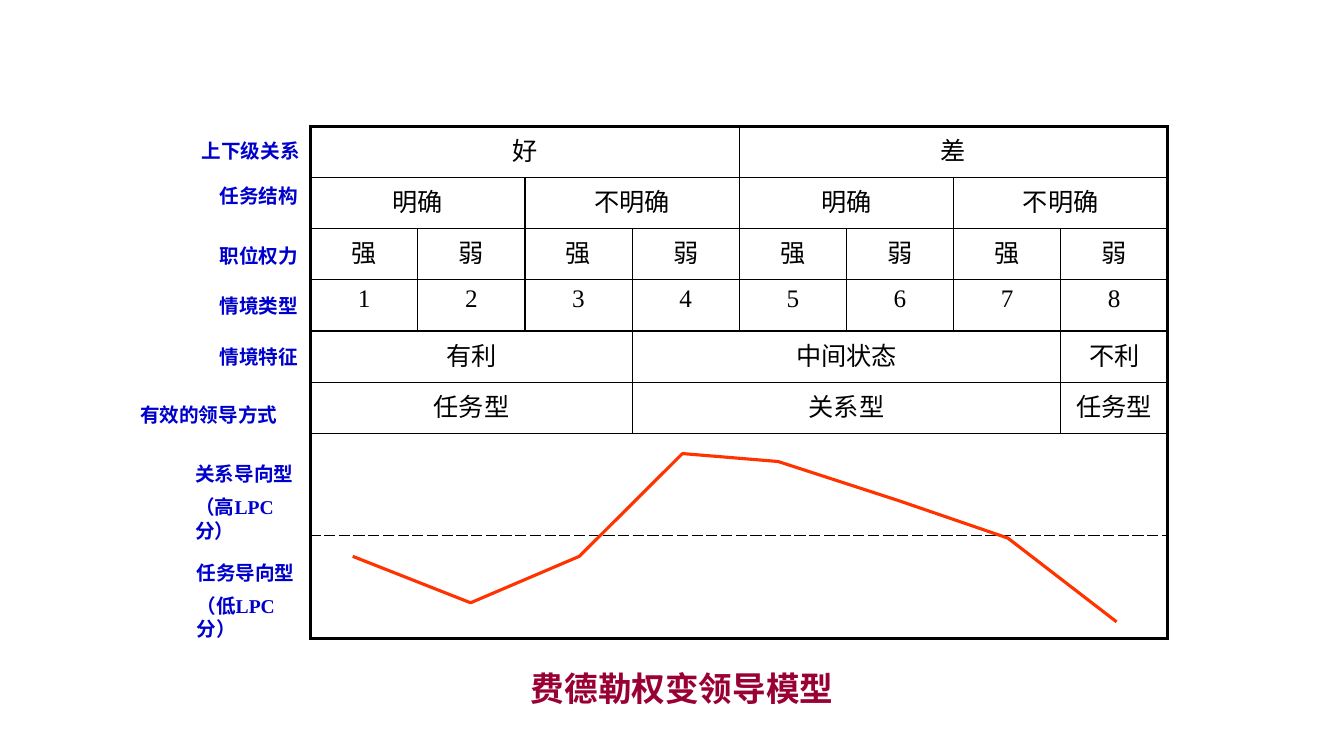
import pptx
import pptx.util
import pptx.dml.color
import pptx.enum.text
from lxml import etree
from pptx.oxml.ns import qn

Cm, Pt = pptx.util.Cm, pptx.util.Pt
RGBColor = pptx.dml.color.RGBColor

BLACK = RGBColor(0x00, 0x00, 0x00)
BLUE = RGBColor(0x00, 0x00, 0xCC)
CRIMSON = RGBColor(0x99, 0x00, 0x33)
ORANGE = RGBColor(0xFF, 0x33, 0x00)
FONT = "Times New Roman"

# Each row lists (text, columns spanned)
MODEL_ROWS = [
    [("好", 4), ("差", 4)],
    [("明确", 2), ("不明确", 2)] * 2,
    [("强", 1), ("弱", 1)] * 4,
    [(str(situation), 1) for situation in range(1, 9)],
    [("有利", 3), ("中间状态", 4), ("不利", 1)],
    [("任务型", 3), ("关系型", 4), ("任务型", 1)],
    [("", 8)],
    [("", 8)],
]
HIGH_LPC_ROW, LOW_LPC_ROW = 6, 7

# Paragraphs, then left, top, width, height in cm
ROW_LABELS = [
    (["上下级关系"], 4.83, 3.38, 3.12, 0.85),
    (["任务结构"], 5.28, 4.52, 2.75, 0.85),
    (["职位权力"], 5.28, 6.02, 2.75, 0.85),
    (["情境类型"], 5.28, 7.29, 2.75, 0.85),
    (["情境特征"], 5.28, 8.56, 2.75, 0.85),
    (["有效的领导方式"], 3.28, 10.03, 4.29, 0.85),
    (["关系导向型", "（高LPC分）"], 4.67, 11.51, 3.45, 1.75),
    (["任务导向型", "（低LPC分）"], 4.7, 14, 3.25, 1.75),
]
TITLE = (["费德勒权变领导模型"], 13.13, 16.71, 12.07, 1.27)

# Leadership curve, one point per situation, in cm
CURVE = [(8.89, 14.02), (11.86, 15.19), (14.6, 14.02), (17.2, 11.43),
         (19.61, 11.63), (22.66, 12.62), (25.4, 13.56), (28.14, 15.67)]

TABLE_LEFT, TABLE_TOP = 7.83, 3.18
COLUMNS, COLUMN_WIDTH, ROW_HEIGHT = 8, 2.7, 1.29
OUTER, INNER = 2.25, 1


def add_border(cell, side, points, dash):
    properties = cell._tc.get_or_add_tcPr()
    line = etree.SubElement(properties, qn(f"a:ln{side}"), w=str(Pt(points)))
    fill = etree.SubElement(line, qn("a:solidFill"))
    etree.SubElement(fill, qn("a:srgbClr"), val=str(BLACK))
    etree.SubElement(line, qn("a:prstDash"), val=dash)


def style(paragraph, size, color, bold):
    paragraph.font.name = FONT
    paragraph.font.size = Pt(size)
    paragraph.font.color.rgb = color
    paragraph.font.bold = bold


def add_model_table(slide):
    last_row = len(MODEL_ROWS) - 1
    heights = [ROW_HEIGHT * (2 if row >= HIGH_LPC_ROW else 1)
               for row in range(len(MODEL_ROWS))]
    table = slide.shapes.add_table(
        len(MODEL_ROWS), COLUMNS, Cm(TABLE_LEFT), Cm(TABLE_TOP),
        Cm(COLUMNS * COLUMN_WIDTH), Cm(sum(heights))).table
    table.first_row = table.horz_banding = False
    for column in table.columns:
        column.width = Cm(COLUMN_WIDTH)
    for row, entries in enumerate(MODEL_ROWS):
        table.rows[row].height = Cm(heights[row])
        start = 0
        for text, span in entries:
            end = start + span
            cell = table.cell(row, start)
            if span > 1:
                cell.merge(table.cell(row, end - 1))
            borders = [
                ("L", start == 0, False),
                ("R", end == COLUMNS, False),
                ("T", row == 0, row == LOW_LPC_ROW),
                ("B", row == last_row, row == HIGH_LPC_ROW),
            ]
            for side, is_outer, is_dashed in borders:
                add_border(cell, side, OUTER if is_outer else INNER,
                           "sysDash" if is_dashed else "solid")
            cell.fill.background()
            caption = cell.text_frame.paragraphs[0]
            caption.text = text
            caption.alignment = pptx.enum.text.PP_ALIGN.CENTER
            style(caption, 18, BLACK, False)
            start = end


def add_curve(slide):
    points = [(Cm(x), Cm(y)) for x, y in CURVE]
    builder = slide.shapes.build_freeform(*points[0])
    builder.add_line_segments(points[1:], close=False)
    curve = builder.convert_to_shape()
    curve.shadow.inherit = False
    curve.fill.background()
    curve.line.color.rgb = ORANGE
    curve.line.width = Pt(2.25)


def add_label(slide, label, size, color):
    lines, *place = label
    frame = slide.shapes.add_textbox(*map(Cm, place)).text_frame
    frame.word_wrap = True
    frame.auto_size = pptx.enum.text.MSO_AUTO_SIZE.SHAPE_TO_FIT_TEXT
    frame.text = "\n".join(lines)
    for number, paragraph in enumerate(frame.paragraphs):
        style(paragraph, size, color, True)
        if number:
            paragraph.space_before = Pt(size / 2)


def main():
    deck = pptx.Presentation()
    deck.slide_width, deck.slide_height = Cm(33.87), Cm(19.05)
    slide = deck.slides.add_slide(deck.slide_layouts[6])
    add_model_table(slide)
    add_curve(slide)
    for label in ROW_LABELS:
        add_label(slide, label, 14, BLUE)
    add_label(slide, TITLE, 24, CRIMSON)
    deck.save("out.pptx")


if __name__ == "__main__":
    main()
